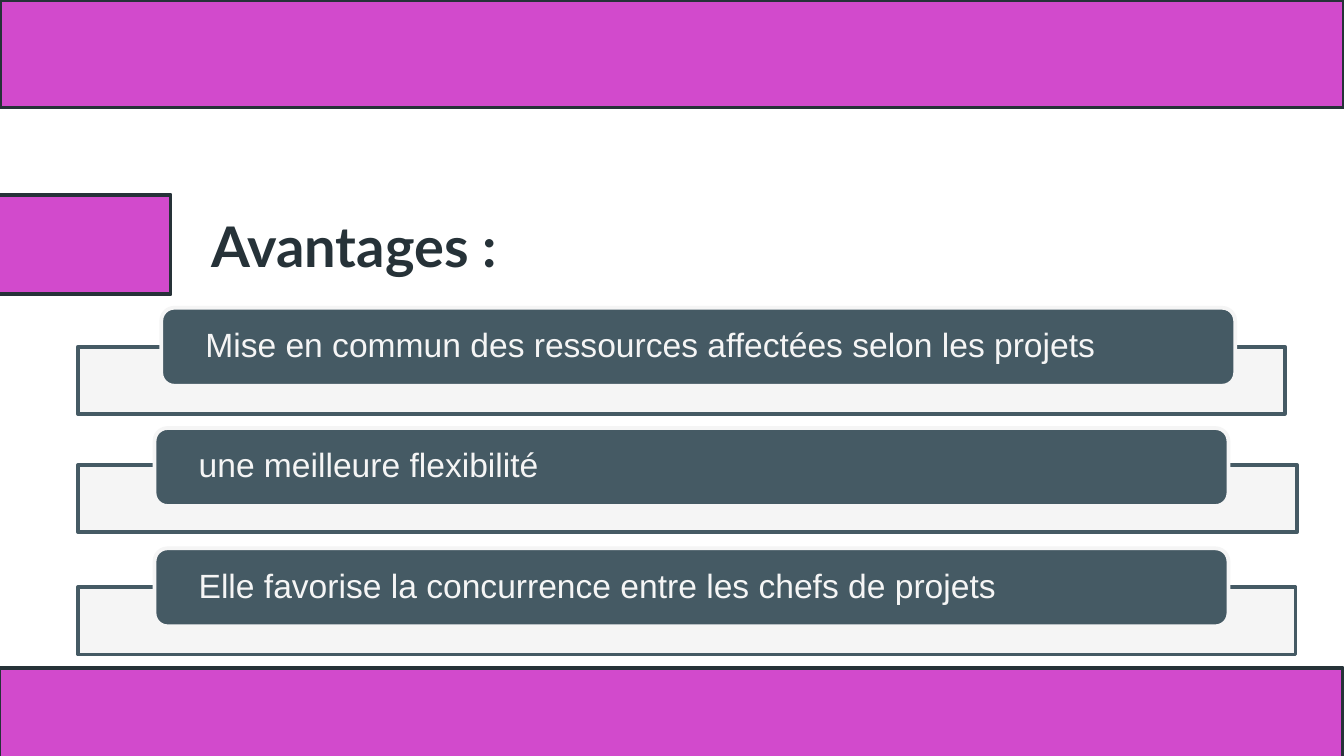
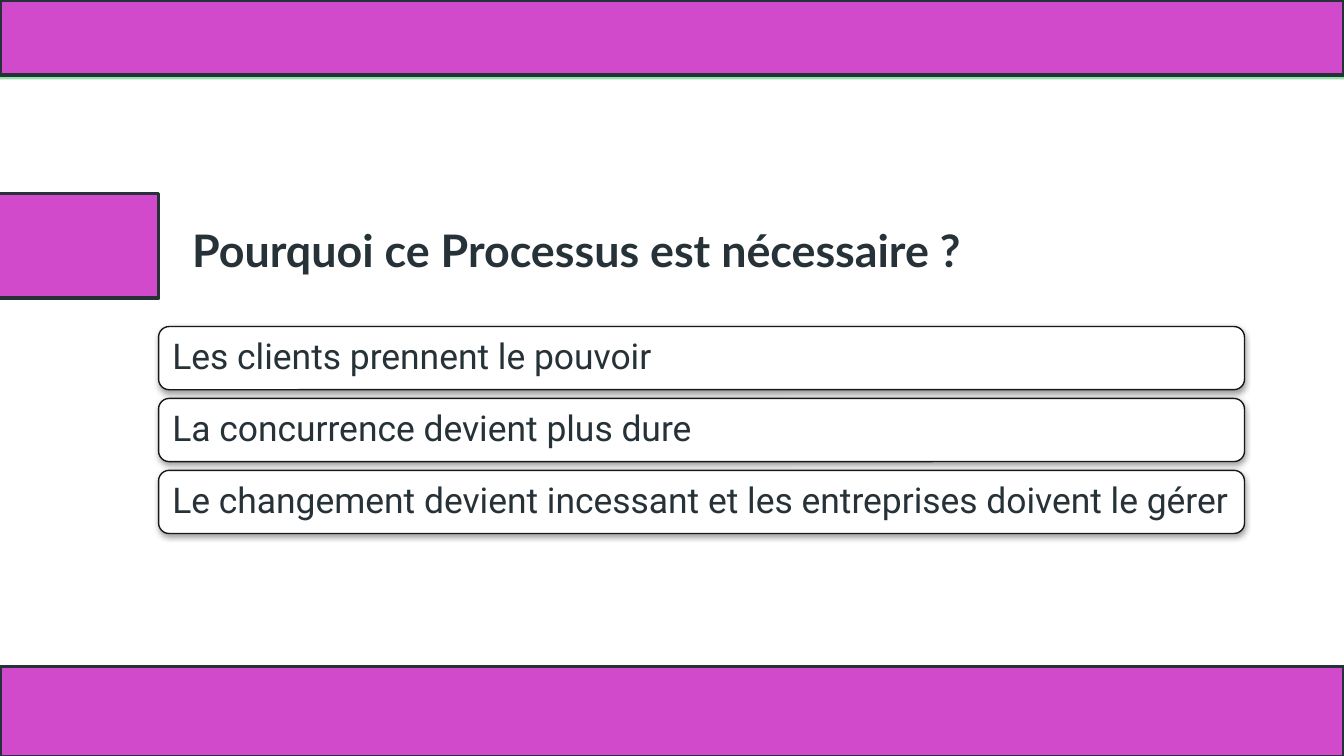
from lxml import etree
from pptx import Presentation
from pptx.dml.color import RGBColor
from pptx.enum.shapes import MSO_SHAPE as Shape
from pptx.enum.text import MSO_ANCHOR as Anchor, MSO_AUTO_SIZE as AutoSize, PP_ALIGN as Align
from pptx.oxml import parse_xml
from pptx.oxml.ns import nsdecls, qn
from pptx.util import Inches, Pt

# Content: boxes are (left, top, width, height) in inches
ADVANTAGES = {
    "title": "Avantages :", "title_size": 30, "title_box": (1.47, 1.58, 4.69, 0.49),
    "bands": [(0, 0, 10, 0.8), (-0.93, 1.45, 2.2, 0.74), (-0.01, 4.97, 10, 0.74)],
    # text, card left, frame top, frame width
    "items": [
        ("Mise en commun des ressources affectées selon les projets", 1.2, 2.58, 8.98),
        ("une meilleure flexibilité", 1.15, 3.46, 9.07),
        ("Elle favorise la concurrence entre les chefs de projets", 1.15, 4.37, 9.06),
    ],
    "first_top": 2.29, "last_top": 4.08,
}
REASONS = {
    "title": "Pourquoi ce Processus est nécessaire ?", "title_size": 24,
    "title_box": (1.33, 1.54, 7.78, 0.63),
    "bands": [(0, 0, 10, 0.56), (-0.89, 1.44, 2.07, 0.78), (0, 4.96, 10, 0.67)],
    "items": [
        "Les clients prennent le pouvoir",
        "La concurrence devient plus dure",
        "Le changement devient incessant et les entreprises doivent le gérer",
    ],
    "first_top": 2.43, "last_top": 3.5,
}

# Shared style
COLORS = {
    "band": "D24ACC", "edge": "92E3A9", "ink": "263238", "slate": "455A64",
    "pale": "F5F5F5", "white": "FFFFFF", "outline": "181818",
}
EDGE_STRIPS = [(0, 5.03, 10, 0.59), (0, 0, 10, 0.59)]
TITLE_ONLY = 5


def color(name):
    return RGBColor.from_string(COLORS[name])


def add_box(slide, kind, box, fill, line=None, weight=2):
    shape = slide.shapes.add_shape(kind, *map(Inches, box))
    shape.shadow.inherit = False
    shape.fill.solid()
    shape.fill.fore_color.rgb = color(fill)
    if line:
        shape.line.color.rgb = color(line)
        shape.line.width = Pt(weight)
    else:
        shape.line.fill.background()
    return shape


def write(shape, text, font, size, ink, inset_x, inset_y, bold=False, spacing=None):
    frame = shape.text_frame
    frame.word_wrap = True
    frame.auto_size = AutoSize.NONE
    frame.vertical_anchor = Anchor.MIDDLE
    frame.margin_left = frame.margin_right = Inches(inset_x)
    frame.margin_top = frame.margin_bottom = Inches(inset_y)
    paragraph = frame.paragraphs[0]
    paragraph.alignment = Align.LEFT
    if spacing:
        paragraph.line_spacing = spacing
    run = paragraph.add_run()
    run.text = text
    run.font.name = font
    run.font.size = Pt(size)
    run.font.bold = bold
    run.font.color.rgb = color(ink)


def set_opacity(shape, percent):
    fill_color = shape.element.spPr.find(qn("a:solidFill"))[0]
    etree.SubElement(fill_color, qn("a:alpha")).set("val", str(percent * 1000))


def add_soft_shadow(shape):
    effects = shape.element.spPr.find(qn("a:effectLst"))
    effects.append(parse_xml(
        f'<a:outerShdw {nsdecls("a")} blurRad="{Pt(3.1)}" dist="{Pt(1.6)}" dir="5400000"'
        ' algn="ctr" rotWithShape="0"><a:srgbClr val="000000">'
        '<a:alpha val="38000"/></a:srgbClr></a:outerShdw>'))


def card_tops(content):
    """Equally spaced tops from the first card to the last."""
    first, last = content["first_top"], content["last_top"]
    steps = len(content["items"]) - 1
    return [first + row * (last - first) / steps for row in range(steps + 1)]


def start_slide(presentation, content):
    """Edge strips and title, common to both slides."""
    slide = presentation.slides.add_slide(presentation.slide_layouts[TITLE_ONLY])
    title = slide.shapes.title
    title.left, title.top, title.width, title.height = map(Inches, content["title_box"])
    write(title, content["title"], "Lato", content["title_size"], "ink", 0.1, 0.1, bold=True)
    for strip in EDGE_STRIPS:
        add_box(slide, Shape.RECTANGLE, strip, "edge")
    return slide


def add_bands(slide, content):
    for band in content["bands"]:
        add_box(slide, Shape.RECTANGLE, band, "band", "ink")


def build_advantages(presentation):
    slide = start_slide(presentation, ADVANTAGES)
    for top, item in zip(card_tops(ADVANTAGES), ADVANTAGES["items"]):
        text, left, frame_top, frame_width = item
        frame = add_box(slide, Shape.RECTANGLE, (0.58, frame_top, frame_width, 0.5),
                        "pale", "slate")
        set_opacity(frame, 90)
        card = add_box(slide, Shape.ROUNDED_RECTANGLE, (left, top, 7.99, 0.58),
                       "slate", "pale")
        write(card, text, "Arial", 18, "pale", 0.3, 0, spacing=0.9)
    add_bands(slide, ADVANTAGES)


def build_reasons(presentation):
    slide = start_slide(presentation, REASONS)
    for top, text in zip(card_tops(REASONS), REASONS["items"]):
        card = add_box(slide, Shape.ROUNDED_RECTANGLE, (1.18, top, 8.08, 0.47),
                       "white", "outline", 0.75)
        add_soft_shadow(card)
        write(card, text, "Roboto", 19, "ink", 0.08, 0.08, spacing=0.9)
    add_bands(slide, REASONS)


def main():
    presentation = Presentation()
    presentation.slide_width = Inches(10)
    presentation.slide_height = presentation.slide_width * 9 // 16
    build_advantages(presentation)
    build_reasons(presentation)
    presentation.save("out.pptx")


if __name__ == "__main__":
    main()
